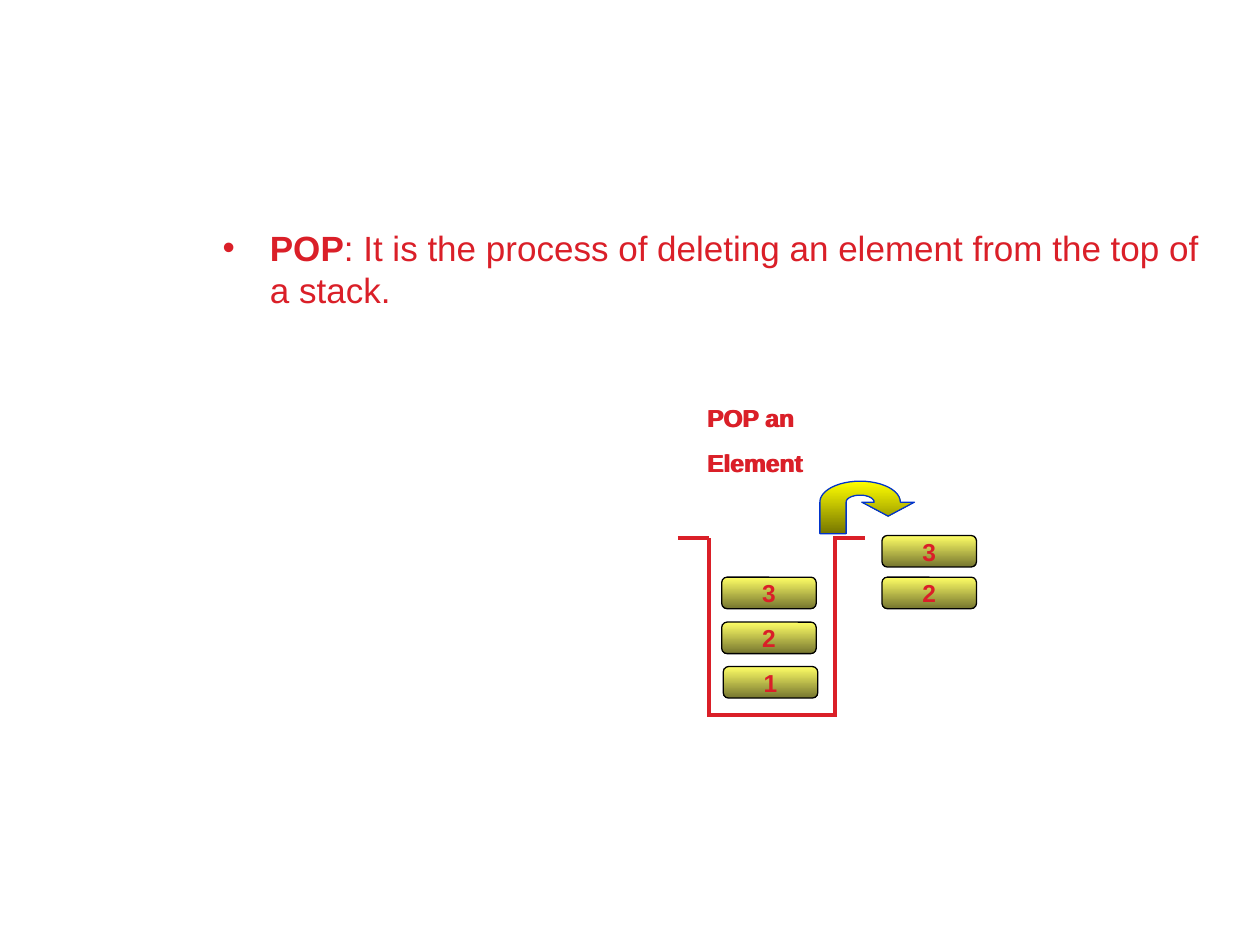
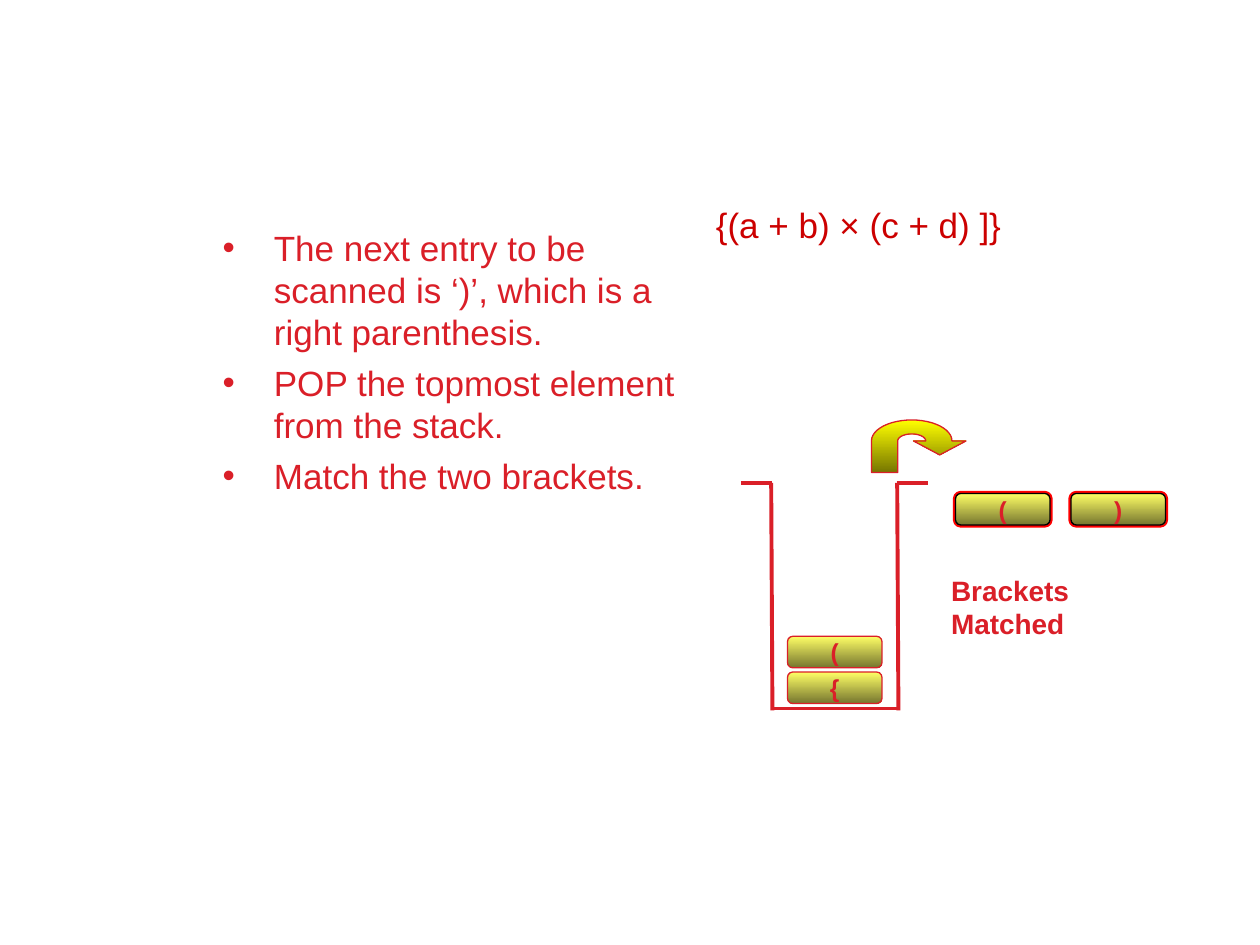
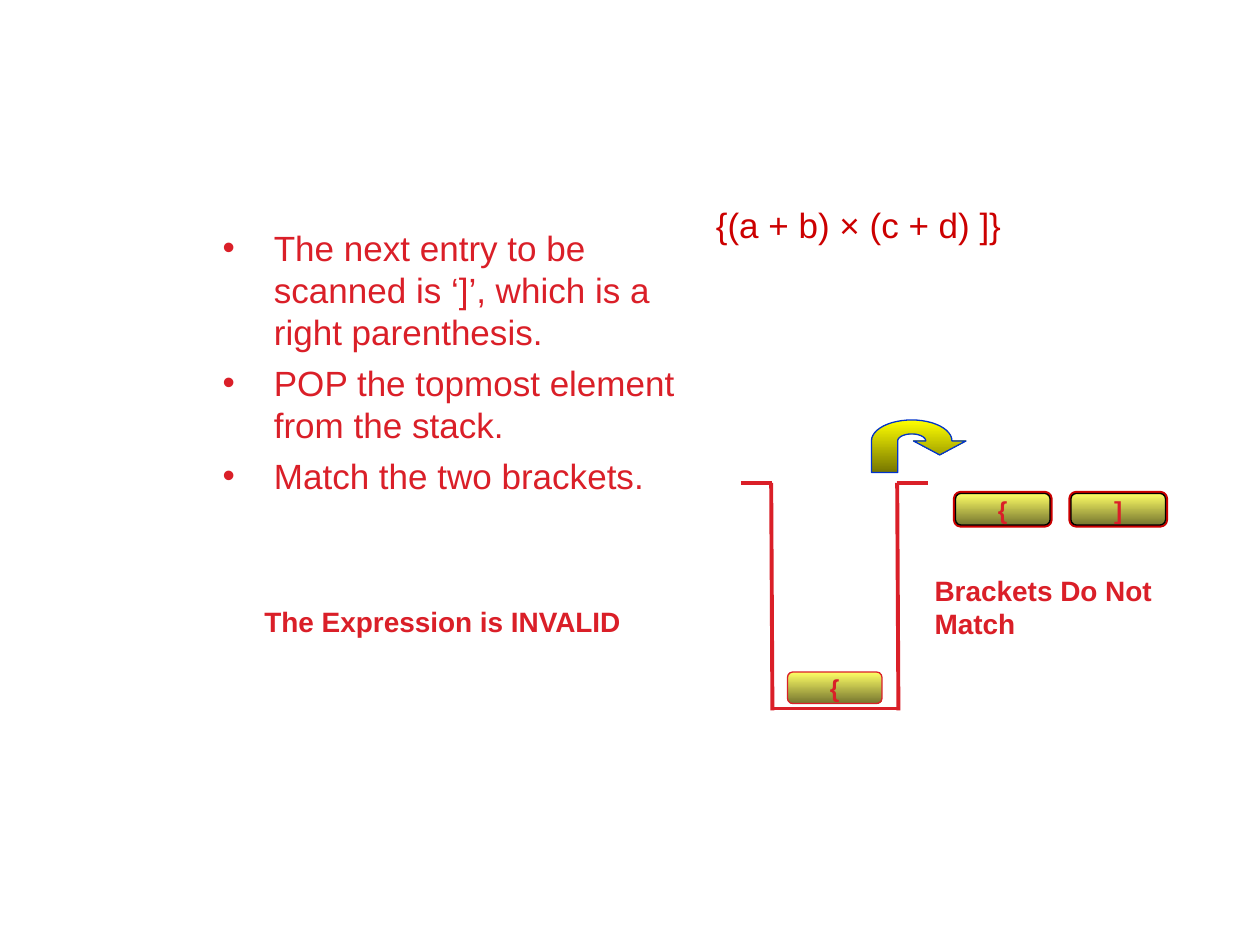
from dataclasses import dataclass
from math import cos, pi, sin

from lxml import etree
from pptx import Presentation
from pptx.dml.color import RGBColor
from pptx.enum.shapes import MSO_CONNECTOR, MSO_SHAPE
from pptx.enum.text import MSO_ANCHOR, MSO_AUTO_SIZE, PP_ALIGN
from pptx.oxml.ns import qn
from pptx.util import Pt

ROUNDED = MSO_SHAPE.ROUNDED_RECTANGLE
STRAIGHT = MSO_CONNECTOR.STRAIGHT
TOP, MIDDLE = MSO_ANCHOR.TOP, MSO_ANCHOR.MIDDLE
LEFT, CENTER = PP_ALIGN.LEFT, PP_ALIGN.CENTER
FIXED_SIZE = MSO_AUTO_SIZE.NONE


@dataclass(frozen=True)
class Theme:
    font: str = "Arial"
    red: str = "DA1F28"
    dark_red: str = "CC0000"
    bright_red: str = "FF0000"
    blue: str = "0033CC"
    black: str = "000000"
    white: str = "FFFFFF"
    block_fill: tuple = ("FFFF66", "76762F")
    arrow_fill: tuple = ("FFFF00", "767600")
    body_size: float = 20
    verdict_size: float = 16
    block_size: float = 14
    thin: float = 0.75
    wall: float = 2.25
    halo: float = 3
    block_width: float = 54
    block_height: float = 18


def assign(target, values):
    for name, value in values.items():
        setattr(target, name, value)


class Deck:
    def __init__(self, theme):
        self.theme = theme
        self.show = Presentation()
        assign(self.show, {"slide_width": Pt(720), "slide_height": Pt(540)})
        self.slide = None

    def new_slide(self):
        self.slide = self.show.slides.add_slide(self.show.slide_layouts[1])
        heading = self.slide.shapes.title.element
        heading.getparent().remove(heading)

    def add_words(self, paragraph, text, size, color=None, bold=False):
        run = paragraph.add_run()
        run.text = text
        assign(run.font, {"name": self.theme.font, "size": Pt(size), "bold": bold})
        run.font.color.rgb = RGBColor.from_string(color or self.theme.red)

    def paint(self, shape, fill, line, width):
        shape.shadow.inherit = False
        if isinstance(fill, tuple):
            shape.fill.gradient()
            shape.fill.gradient_angle = 270
            for stop, color in zip(shape.fill.gradient_stops, fill):
                stop.color.rgb = RGBColor.from_string(color)
        else:
            shape.fill.solid()
            shape.fill.fore_color.rgb = RGBColor.from_string(fill)
        shape.line.color.rgb = RGBColor.from_string(line)
        shape.line.width = Pt(width)

    def bullets(self, items, width, indent):
        body = self.slide.placeholders[1]
        assign(body, {"left": Pt(120), "top": Pt(126), "width": Pt(width), "height": Pt(360)})
        frame = body.text_frame
        assign(frame, {"auto_size": FIXED_SIZE, "vertical_anchor": TOP, "word_wrap": True})
        for index, runs in enumerate(items):
            paragraph = frame.add_paragraph() if index else frame.paragraphs[0]
            properties = paragraph._p.get_or_add_pPr()
            properties.set("marL", str(Pt(indent)))
            properties.set("indent", str(Pt(-indent)))
            bullet_color = etree.SubElement(properties, qn("a:buClr"))
            etree.SubElement(bullet_color, qn("a:srgbClr"), val=self.theme.red)
            etree.SubElement(properties, qn("a:buFont"), typeface=self.theme.font)
            etree.SubElement(properties, qn("a:buChar"), char="•")
            spacing = Pt(5) if index else Pt(0)
            assign(paragraph, {"space_before": spacing, "alignment": LEFT})
            for text, bold in runs:
                self.add_words(paragraph, text, self.theme.body_size, bold=bold)

    def label(self, lines, left, top, width, height, size, color=None, bold=True, wrap=True):
        box = self.slide.shapes.add_textbox(Pt(left), Pt(top), Pt(width), Pt(height))
        frame = box.text_frame
        frame.word_wrap = wrap
        for index, line in enumerate(lines):
            paragraph = frame.add_paragraph() if index else frame.paragraphs[0]
            if index:
                paragraph.space_before = Pt(8.8)
            self.add_words(paragraph, line, size, color, bold)

    def plate(self, left, top, fill, line, width):
        theme = self.theme
        plate = self.slide.shapes.add_shape(
            ROUNDED, Pt(left), Pt(top), Pt(theme.block_width), Pt(theme.block_height))
        plate.adjustments[0] = 0.17
        self.paint(plate, fill, line, width)
        return plate

    def block(self, symbol, left, top, line, halo=None):
        theme = self.theme
        if halo:
            self.plate(left, top, theme.white, halo, theme.halo)
        block = self.plate(left, top, theme.block_fill, line, theme.thin)
        frame = block.text_frame
        assign(frame, {"word_wrap": False, "vertical_anchor": MIDDLE})
        paragraph = frame.paragraphs[0]
        paragraph.alignment = CENTER
        self.add_words(paragraph, symbol, theme.block_size, bold=True)

    def line(self, x1, y1, x2, y2):
        line = self.slide.shapes.add_connector(STRAIGHT, Pt(x1), Pt(y1), Pt(x2), Pt(y2))
        line.line.color.rgb = RGBColor.from_string(self.theme.red)
        line.line.width = Pt(self.theme.wall)
        etree.SubElement(line._element.spPr, qn("a:effectLst"))

    def stack(self, left, rim, depth, lean=0):
        walls = [
            (0, 0, 18, 0),
            (18 - lean, 0, 18, depth),
            (18.7, depth - 1, 90.7, depth - 1),
            (90 - lean, 0, 90, depth),
            (89, 0, 107, 0),
        ]
        for x1, y1, x2, y2 in walls:
            self.line(left + x1, rim + y1, left + x2, rim + y2)

    def pop_arrow(self, left, top, line):
        steps = 24
        angles = [pi * step / steps for step in range(steps + 1)]
        outer = [(23 + 23 * cos(a), 12 - 12 * sin(a)) for a in angles]
        inner = [(23 + 8 * cos(a), 12 - 4 * sin(a)) for a in reversed(angles)]
        outline = [(54, 12), *outer, (0, 30), (15, 30), *inner, (24, 12)]
        builder = self.slide.shapes.build_freeform(Pt(left + 39), Pt(top + 20))
        builder.add_line_segments([(Pt(left + x), Pt(top + y)) for x, y in outline])
        self.paint(builder.convert_to_shape(), self.theme.arrow_fill, line, self.theme.thin)


def add_pop_slide(deck):
    theme = deck.theme
    deck.new_slide()
    definition = ": It is the process of deleting an element from the top of a stack."
    deck.bullets([[("POP", True), (definition, False)]], 576, 27)
    for left in (397.5, 396.8):
        deck.label(["POP an", "Element"], left, 226.8, 90, 50, theme.block_size)
    deck.pop_arrow(468.5, 275, theme.blue)
    blocks = [("1", 413.3, 380.9), ("2", 412.4, 355.5), ("3", 412.4, 329.8),
              ("3", 504, 306), ("2", 504, 329.8)]
    for symbol, left, top in blocks:
        deck.block(symbol, left, top, theme.black)
    deck.stack(387.3, 307.6, 102)


def add_matching_slide(deck, scanned, popped, remaining, verdict, verdict_left, verdict_width,
                       arrow_line, halo):
    theme = deck.theme
    deck.new_slide()
    steps = [
        f"The next entry to be scanned is ‘{scanned}’, which is a right parenthesis.",
        "POP the topmost element from the stack.",
        "Match the two brackets.",
    ]
    deck.bullets([[(step, False)] for step in steps], 294, 29.3)
    deck.stack(423.4, 275.9, 130, 0.7)
    for level, symbol in enumerate(remaining):
        deck.block(symbol, 450, 384 - 20.4 * level, theme.red)
    for column, symbol in enumerate((popped, scanned)):
        deck.block(symbol, 546 + 66 * column, 282, theme.black, halo)
    deck.pop_arrow(498, 240, arrow_line)
    deck.label([verdict], verdict_left, 324, verdict_width, 26.6, theme.verdict_size, wrap=False)
    deck.label(["{(a + b) × (c + d) ]}"], 402, 113, 264, 55, theme.body_size,
               theme.dark_red, bold=False)


def main():
    theme = Theme()
    deck = Deck(theme)
    add_pop_slide(deck)
    add_matching_slide(deck, ")", "(", "{(", "Brackets Matched", 536.4, 150.5,
                       theme.red, theme.bright_red)
    add_matching_slide(deck, "]", "{", "{", "Brackets Do Not Match", 527, 188.6,
                       theme.blue, theme.dark_red)
    deck.label(["The Expression is INVALID"], 144, 342, 240, 26.6, theme.verdict_size)
    deck.show.save("out.pptx")


if __name__ == "__main__":
    main()
